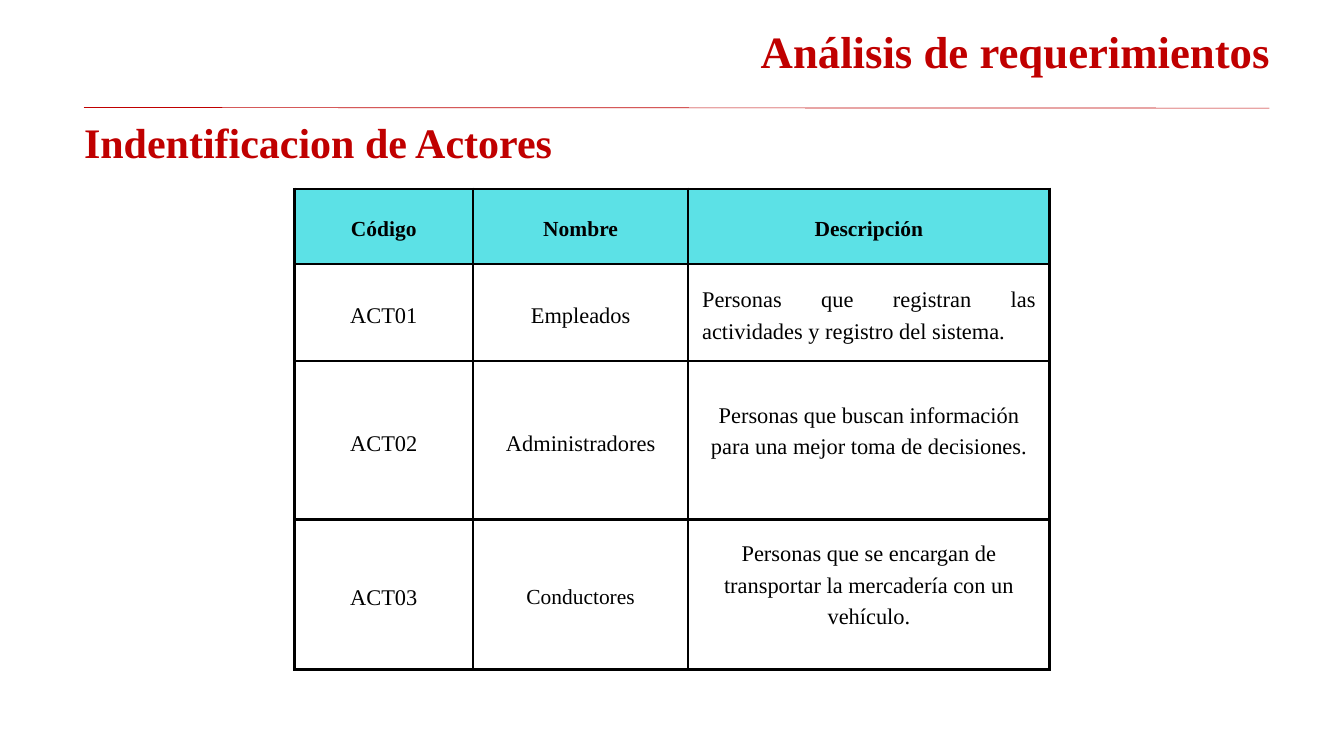
import pptx
import pptx.util
import pptx.dml.color
import pptx.enum.shapes
import pptx.enum.text
import pptx.oxml
import pptx.oxml.ns
from dataclasses import dataclass

Pt = pptx.util.Pt
ALIGN = pptx.enum.text.PP_ALIGN


@dataclass(frozen=True)
class Theme:
    font: str = "Times New Roman"
    red: str = "C00000"
    black: str = "000000"
    cyan: str = "5CE1E6"
    title: int = 48
    section: int = 45
    body: int = 24
    label: int = 23
    rule: float = 0.75
    border: int = 3


THEME = Theme()
HEAD = ("Código", "Nombre", "Descripción")
ACTORS = (
    ("ACT01", "Empleados",
     "Personas que registran las actividades y registro del sistema."),
    ("ACT02", "Administradores",
     "Personas que buscan información para una mejor toma de decisiones."),
    ("ACT03", "Conductores",
     "Personas que se encargan de transportar la mercadería con un vehículo."),
)
COLS = (191.5, 230.4, 387.4)
ROWS = (80.6, 103.7, 170, 160.6)
INSET = 15


def color(code):
    return pptx.dml.color.RGBColor.from_string(code)


def write(frame, text, size, tone, align, lead, bold=False):
    para = frame.paragraphs[0]
    para.alignment = align
    para.line_spacing = Pt(round(size * lead, 1))
    run = para.add_run()
    run.text = text
    run.font.name = THEME.font
    run.font.size = Pt(size)
    run.font.bold = bold
    run.font.color.rgb = color(tone)


def heading(slide, text, box, size, align):
    frame = slide.shapes.add_textbox(*map(Pt, box)).text_frame
    frame.word_wrap = True
    frame.margin_left = frame.margin_right = 0
    frame.margin_top = frame.margin_bottom = 0
    write(frame, text, size, THEME.red, align, 1.2, True)


def rule(slide, start, end):
    line = slide.shapes.add_connector(
        pptx.enum.shapes.MSO_CONNECTOR.STRAIGHT,
        *map(Pt, start + end))
    line.line.color.rgb = color(THEME.red)
    line.line.width = Pt(THEME.rule)
    props = line._element.spPr
    props.append(pptx.oxml.parse_xml(
        f"<a:effectLst {pptx.oxml.ns.nsdecls('a')}/>"))


def frame_cell(cell):
    """Draw the four borders of a cell."""
    props = cell._tc.get_or_add_tcPr()
    for spot, side in enumerate("LRTB"):
        props.insert(spot, pptx.oxml.parse_xml(
            f"<a:ln{side} {pptx.oxml.ns.nsdecls('a')} "
            f'w="{Pt(THEME.border)}"><a:solidFill>'
            f'<a:srgbClr val="{THEME.black}"/></a:solidFill></a:ln{side}>'))


def fill_cell(cell, text, size, align, head, drop):
    cell.vertical_anchor = pptx.enum.text.MSO_ANCHOR.MIDDLE
    cell.margin_left = cell.margin_right = cell.margin_top = Pt(INSET)
    cell.margin_bottom = Pt(INSET + drop)
    frame_cell(cell)
    if head:
        cell.fill.solid()
        cell.fill.fore_color.rgb = color(THEME.cyan)
    else:
        cell.fill.background()
    write(cell.text_frame, text, size, THEME.black, align, 1.4, head)


def actors(slide, left, top):
    table = slide.shapes.add_table(
        len(ROWS), len(COLS), Pt(left), Pt(top),
        Pt(sum(COLS)), Pt(sum(ROWS))).table
    table.horz_banding = False
    for col, width in zip(table.columns, COLS):
        col.width = Pt(width)
    for row, high in zip(table.rows, ROWS):
        row.height = Pt(high)
    for r, texts in enumerate((HEAD,) + ACTORS):
        for c, text in enumerate(texts):
            small = r == 0 or text == "Conductores"
            size = THEME.label if small else THEME.body
            align = ALIGN.JUSTIFY if (r, c) == (1, 2) else ALIGN.CENTER
            # The last two descriptions sit above the middle of their rows.
            drop = 26 if r > 1 and c == 2 else 0
            fill_cell(table.cell(r, c), text, size, align, r == 0, drop)


def main():
    deck = pptx.Presentation()
    deck.slide_width, deck.slide_height = Pt(1440), Pt(810)
    slide = deck.slides.add_slide(deck.slide_layouts[6])
    rule(slide, (90, 115.2), (1360, 115.9))
    actors(slide, 315.4, 202.4)
    heading(slide, "Análisis de requerimientos", (743.8, 25.2, 617, 64.8),
            THEME.title, ALIGN.RIGHT)
    heading(slide, "Indentificacion de Actores", (90, 124.6, 985, 61.2),
            THEME.section, ALIGN.LEFT)
    deck.save("out.pptx")


if __name__ == "__main__":
    main()
